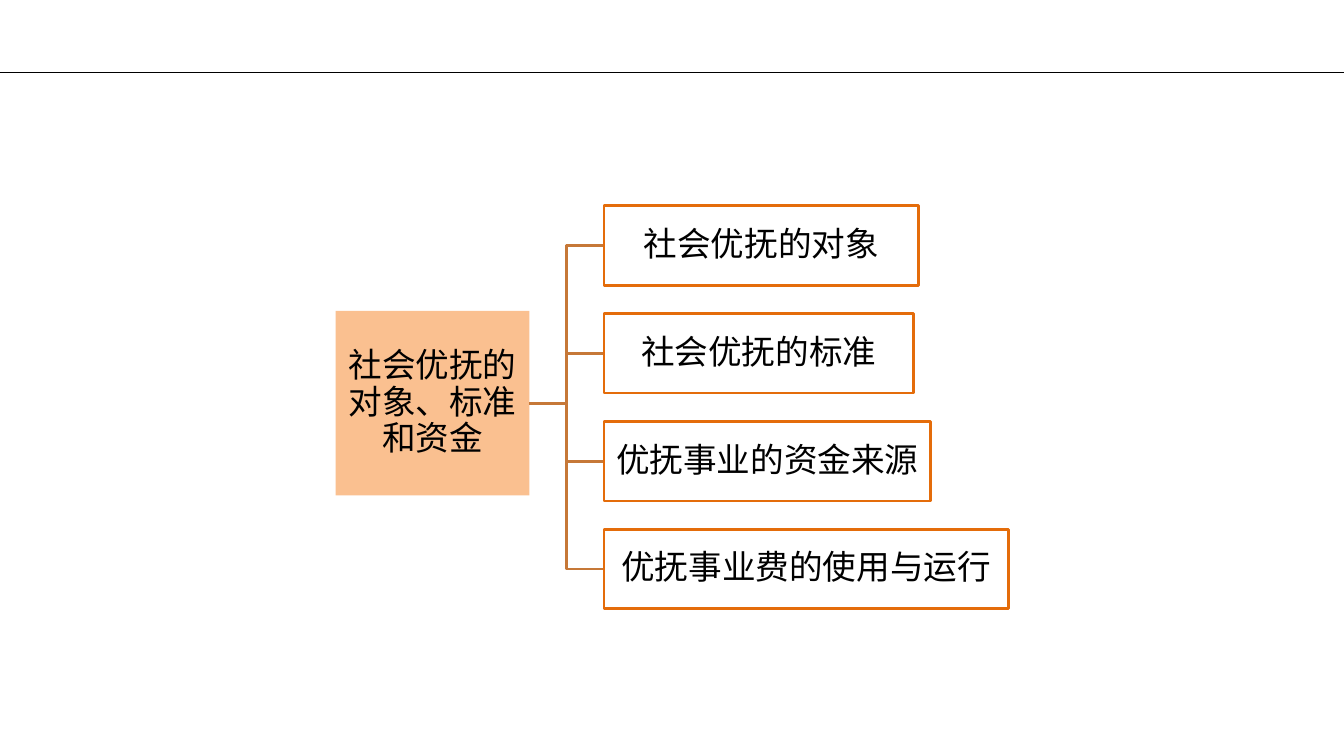
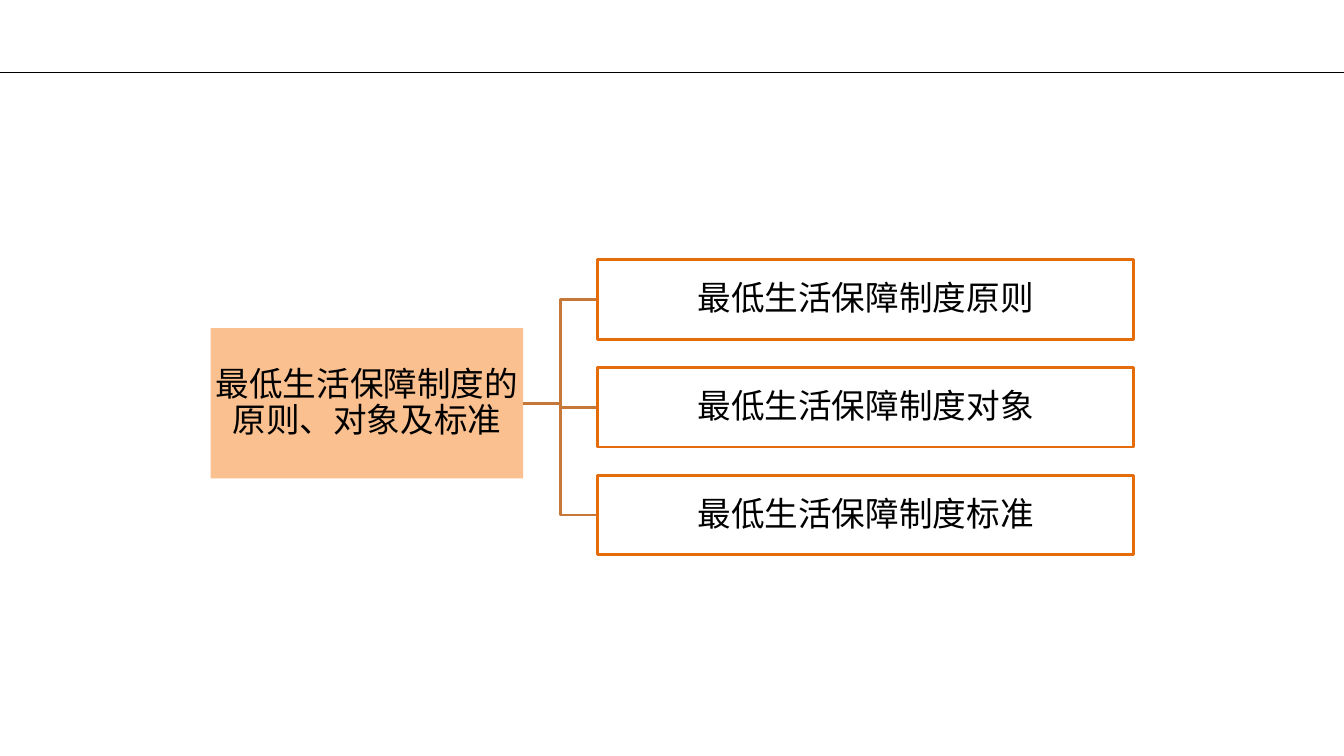
from dataclasses import dataclass

from lxml import etree
from pptx import Presentation
from pptx.dml.color import RGBColor
from pptx.enum import shapes, text
from pptx.oxml.ns import qn
from pptx.shapes.autoshape import Shape
from pptx.shapes.connector import Connector
from pptx.slide import Slide
from pptx.util import Inches, Pt

BLACK = "000000"
TOPIC_FILL = "FAC090"
BRANCH_LINE = "E46C0A"
LINK_LINE = "C67838"

SLIDE_WIDTH, SLIDE_HEIGHT = 13.33, 7.5
RULE_TOP = 0.72
TOPIC_CENTRE = 4.0
BRANCH_CENTRE = 4.04
BRANCH_HEIGHT = 0.79
BRANCH_PITCH = 1.07
LINK_WIDTH = 0.74
RIGHT_SITE, LEFT_SITE = 3, 1


@dataclass(frozen=True)
class Branch:
    label: str
    width: float


@dataclass(frozen=True)
class TopicTree:
    topic: str
    left: float
    width: float
    height: float
    font: str
    branches: tuple[Branch, ...]


TREES = (
    TopicTree("社会优抚的对象、标准和资金", 3.33, 1.92, 1.83, "Noto Sans CJK SC", (
        Branch("社会优抚的对象", 3.12),
        Branch("社会优抚的标准", 3.07),
        Branch("优抚事业的资金来源", 3.24),
        Branch("优抚事业费的使用与运行", 4.01),
    )),
    TopicTree("最低生活保障制度的原则、对象及标准", 2.09, 3.1, 1.49, "Calibri", (
        Branch("最低生活保障制度原则", 5.31),
        Branch("最低生活保障制度对象", 5.31),
        Branch("最低生活保障制度标准", 5.31),
    )),
)


def rgb(value: str) -> RGBColor:
    return RGBColor.from_string(value)


def add_box(slide: Slide, left: float, top: float, width: float, height: float,
            label: str, font: str) -> Shape:
    """Add a captioned rectangle whose fill and line the caller sets."""
    box = slide.shapes.add_shape(
        shapes.MSO_SHAPE.RECTANGLE,
        Inches(left), Inches(top), Inches(width), Inches(height))
    box.shadow.inherit = False
    frame = box.text_frame
    frame.word_wrap = True
    frame.vertical_anchor = text.MSO_ANCHOR.MIDDLE
    frame.margin_left = frame.margin_right = Inches(0.02)
    frame.margin_top = frame.margin_bottom = Inches(0.02)
    caption = frame.paragraphs[0]
    caption.text = label
    caption.alignment = text.PP_ALIGN.CENTER
    caption.line_spacing = 0.9
    caption.font.size = Pt(24)
    caption.font.name = font
    caption.font.color.rgb = rgb(BLACK)
    defaults = caption._p.pPr.find(qn("a:defRPr"))
    etree.SubElement(defaults, qn("a:ea"), typeface=font)
    return box


def add_line(slide: Slide, kind: shapes.MSO_CONNECTOR, color: str, weight: float,
             start: tuple[float, float] = (0, 0),
             end: tuple[float, float] = (0, 0)) -> Connector:
    line = slide.shapes.add_connector(
        kind, *(Inches(value) for value in (*start, *end)))
    line.line.color.rgb = rgb(color)
    line.line.width = Pt(weight)
    etree.SubElement(line._element.spPr, qn("a:effectLst"))
    return line


def draw_header_rule(slide: Slide) -> None:
    add_line(slide, shapes.MSO_CONNECTOR.STRAIGHT, BLACK, 1,
             (0, RULE_TOP), (SLIDE_WIDTH, RULE_TOP))


def draw_tree(slide: Slide, tree: TopicTree) -> None:
    topic = add_box(slide, tree.left, TOPIC_CENTRE - tree.height / 2,
                    tree.width, tree.height, tree.topic, tree.font)
    topic.fill.solid()
    topic.fill.fore_color.rgb = rgb(TOPIC_FILL)
    topic.line.fill.background()

    branch_left = tree.left + tree.width + LINK_WIDTH
    stack_height = (len(tree.branches) - 1) * BRANCH_PITCH + BRANCH_HEIGHT
    stack_top = BRANCH_CENTRE - stack_height / 2
    for row, branch in enumerate(tree.branches):
        link = add_line(slide, shapes.MSO_CONNECTOR.ELBOW, LINK_LINE, 2)
        box = add_box(slide, branch_left, stack_top + row * BRANCH_PITCH,
                      branch.width, BRANCH_HEIGHT, branch.label, tree.font)
        box.fill.background()
        box.line.color.rgb = rgb(BRANCH_LINE)
        box.line.width = Pt(2)
        link.begin_connect(topic, RIGHT_SITE)
        link.end_connect(box, LEFT_SITE)


def main() -> None:
    deck = Presentation()
    deck.slide_width = Inches(SLIDE_WIDTH)
    deck.slide_height = Inches(SLIDE_HEIGHT)
    blank_layout = deck.slide_layouts.get_by_name("Blank")
    for tree in TREES:
        slide = deck.slides.add_slide(blank_layout)
        draw_header_rule(slide)
        draw_tree(slide, tree)
    deck.save("out.pptx")


if __name__ == "__main__":
    main()
